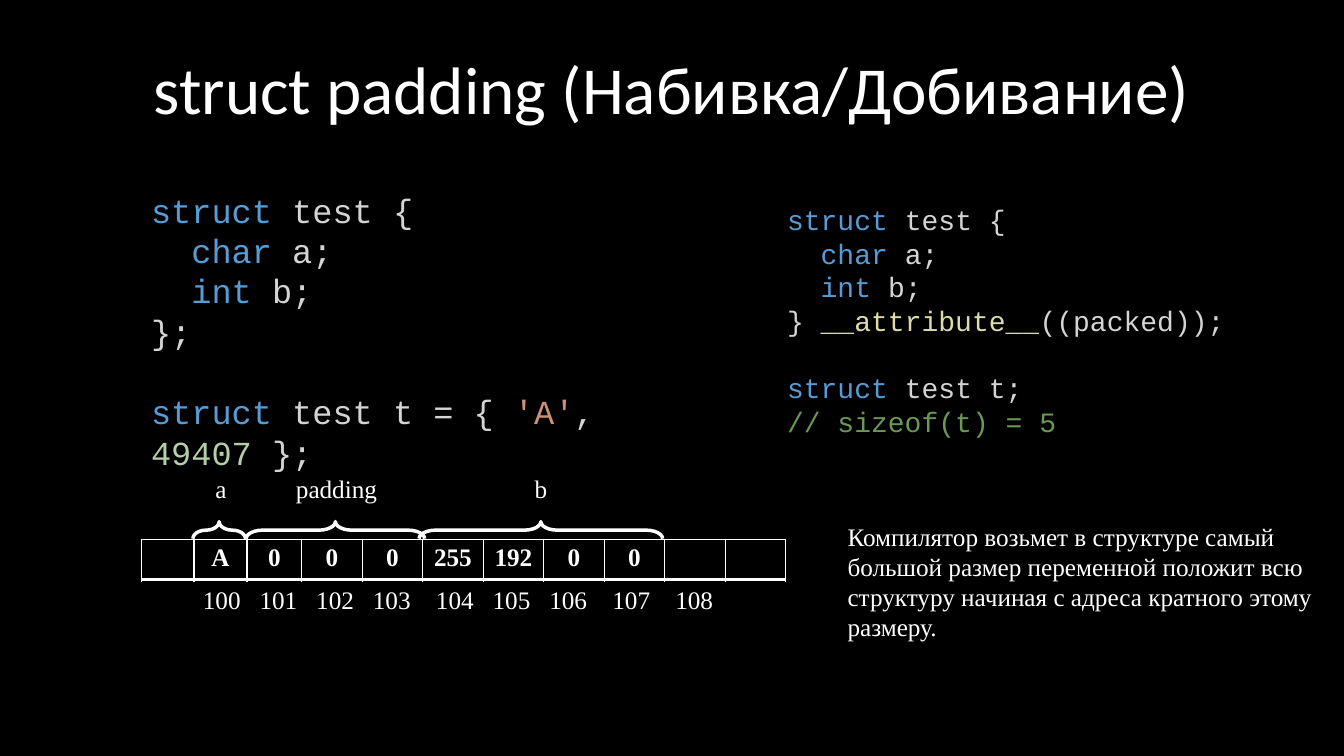
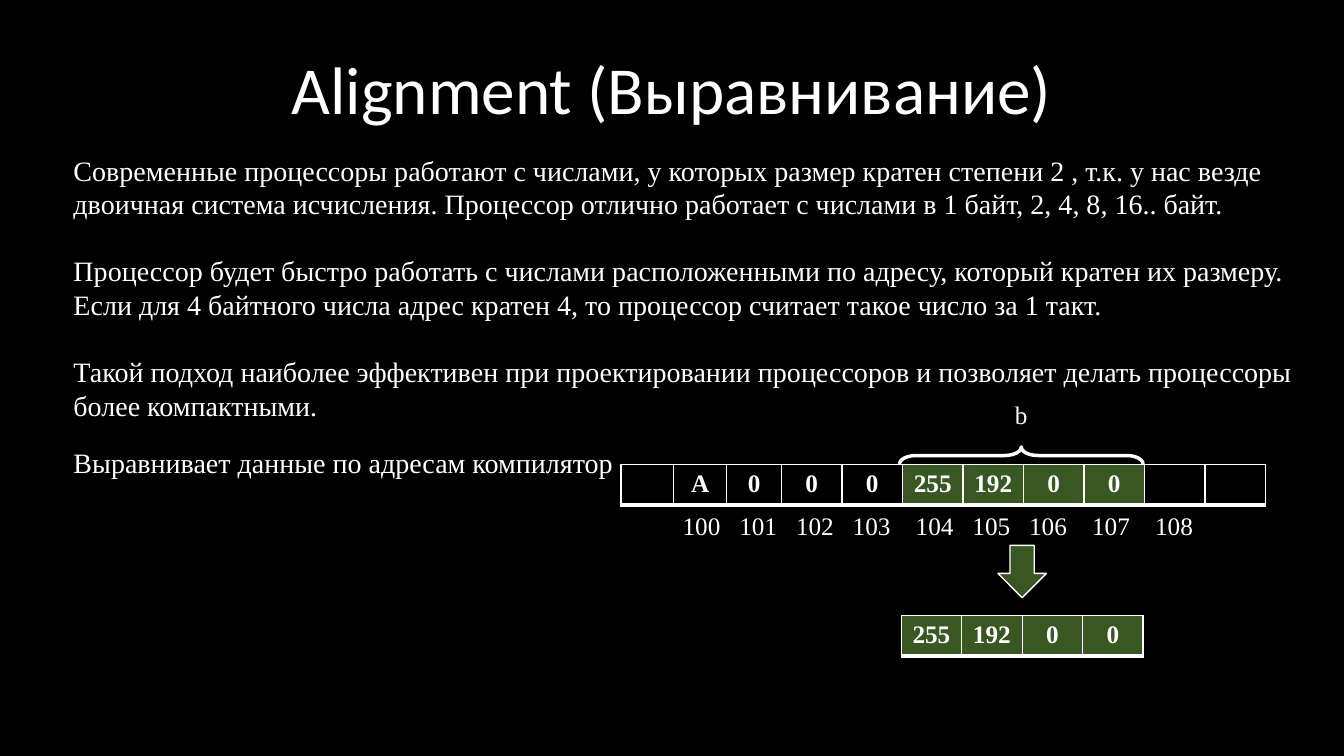
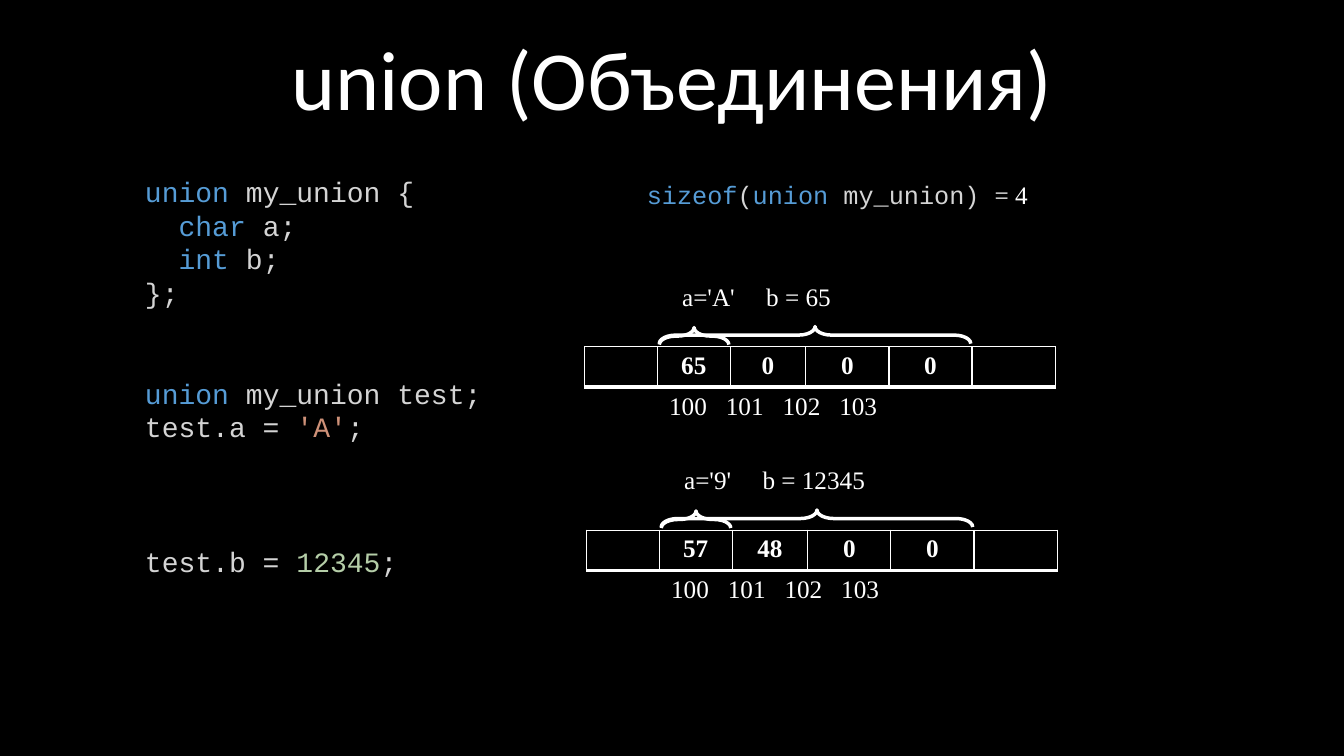
from dataclasses import dataclass
from typing import NamedTuple

import pptx
import pptx.dml.color
import pptx.enum.shapes
import pptx.enum.text
import pptx.oxml
import pptx.oxml.ns
import pptx.presentation
import pptx.slide
import pptx.util
from lxml import etree

Pt = pptx.util.Pt
RGBColor = pptx.dml.color.RGBColor
Align = pptx.enum.text.PP_ALIGN
Anchor = pptx.enum.text.MSO_ANCHOR
Preset = pptx.enum.shapes.MSO_SHAPE
qn = pptx.oxml.ns.qn

BLACK = RGBColor(0x00, 0x00, 0x00)
WHITE = RGBColor(0xFF, 0xFF, 0xFF)
GREEN = RGBColor(0x38, 0x57, 0x23)
CODE_TEXT = RGBColor(0xD4, 0xD4, 0xD4)
KEYWORD = RGBColor(0x56, 0x9C, 0xD6)
LITERAL = RGBColor(0xCE, 0x91, 0x78)
NUMBER = RGBColor(0xB5, 0xCE, 0xA8)
FUNCTION = RGBColor(0xDC, 0xDC, 0xAA)
COMMENT = RGBColor(0x6A, 0x99, 0x55)

TITLE_FONT = "Calibri"
CODE_FONT = "Courier New"
TEXT_FONT = "Times New Roman"

TOKEN_COLOURS = {
    "struct": KEYWORD,
    "union": KEYWORD,
    "char": KEYWORD,
    "int": KEYWORD,
    "sizeof": KEYWORD,
    "'A'": LITERAL,
    "49407": NUMBER,
    "12345": NUMBER,
    "__attribute__": FUNCTION,
    "// sizeof(t) = 5": COMMENT,
    "= 4": WHITE,
}
TOKEN_FONTS = {"= 4": TEXT_FONT}

LINE_FACTOR = 1.2
ROW_HEIGHT = 28
BRACE_HEIGHT = 12.2
LABEL_HEIGHT = 28.8
WIDE_STEP = 45
NARROW_STEP = 40.5

STRUCT_COLUMNS = (37.8, 37.8, 39.2) + (43.2,) * 8
STRUCT_CELLS = ("", "A", "0", "0", "0", "255", "192", "0", "0", "", "")
STRUCT_STEPS = (
    NARROW_STEP, NARROW_STEP, NARROW_STEP, WIDE_STEP,
    NARROW_STEP, NARROW_STEP, WIDE_STEP, WIDE_STEP,
)
UNION_COLUMNS = (52, 52, 54) + (59.4,) * 3
UNION_STEPS = (NARROW_STEP,) * 3


class Box(NamedTuple):
    left: float
    top: float
    width: float
    height: float

    def lengths(self) -> list[pptx.util.Length]:
        return [Pt(value) for value in self]


class Brace(NamedTuple):
    """Brace above a memory row, measured from the row's top left corner."""
    offset: float
    width: float
    rise: float = 12.6


class Caption(NamedTuple):
    """Field names above a memory row, one tab stop for each further name."""
    names: tuple[str, ...]
    offset: float
    width: float
    tabs: tuple[float, ...] = ()


@dataclass(frozen=True)
class MemoryRow:
    left: float
    top: float
    columns: tuple[float, ...]
    cells: tuple[str, ...]
    address_steps: tuple[float, ...] = ()
    address_offset: float = 37
    address_drop: float = 28.8
    braces: tuple[Brace, ...] = ()
    caption: Caption | None = None
    marked: range = range(0)


def add_text(
    page: pptx.slide.Slide,
    box: Box,
    lines: list[str],
    *,
    size: float = 18,
    font: str = TEXT_FONT,
    colour: RGBColor = WHITE,
    align: Align = Align.LEFT,
    anchor: Anchor = Anchor.TOP,
    line_spacing: float | None = None,
    tabs: tuple[float, ...] = (),
) -> None:
    """Write lines; bars set off coloured tokens, an empty line widens the gap."""
    frame = page.shapes.add_textbox(*box.lengths()).text_frame
    frame.word_wrap = True
    frame.vertical_anchor = anchor
    para = frame.paragraphs[0]
    gap = 0
    for index, line in enumerate(lines):
        if not line:
            gap += 1
            continue
        if index:
            para = frame.add_paragraph()
        if tabs:
            add_tabs(para, tabs)
        para.alignment = align
        para.line_spacing = line_spacing
        if gap:
            para.space_before = Pt(gap * size * LINE_FACTOR)
            gap = 0
        for piece in filter(None, line.split("|")):
            span = para.add_run()
            span.text = piece
            span.font.size = Pt(size)
            span.font.name = TOKEN_FONTS.get(piece, font)
            span.font.color.rgb = TOKEN_COLOURS.get(piece, colour)


def add_tabs(para, tabs: tuple[float, ...]) -> None:
    tab_list = etree.SubElement(para._p.get_or_add_pPr(), qn("a:tabLst"))
    for position in tabs:
        etree.SubElement(
            tab_list, qn("a:tab"), pos=str(int(Pt(position))), algn="l"
        )


def add_code(
    page: pptx.slide.Slide, box: Box, lines: list[str], size: float
) -> None:
    add_text(page, box, lines, size=size, font=CODE_FONT, colour=CODE_TEXT)


def add_page(
    deck: pptx.presentation.Presentation, title: str, size: float = 48
) -> pptx.slide.Slide:
    page = deck.slides.add_slide(deck.slide_layouts[6])
    add_text(
        page, Box(89.3, 23, 781.2, 72.7), [title], size=size, font=TITLE_FONT,
        align=Align.CENTER, anchor=Anchor.BOTTOM, line_spacing=0.9,
    )
    return page


def add_borders(cell) -> None:
    properties = cell._tc.get_or_add_tcPr()
    for side, weight in (("lnL", 1), ("lnR", 1), ("lnT", 1), ("lnB", 3)):
        border = etree.SubElement(
            properties, qn(f"a:{side}"), w=str(int(Pt(weight)))
        )
        fill = etree.SubElement(border, qn("a:solidFill"))
        etree.SubElement(fill, qn("a:srgbClr"), val=str(WHITE))


def add_cells(page: pptx.slide.Slide, row: MemoryRow) -> None:
    box = Box(row.left, row.top, sum(row.columns), ROW_HEIGHT)
    table = page.shapes.add_table(
        1, len(row.columns), *box.lengths()
    ).table
    table.first_row = False
    table.horz_banding = False
    for index, (width, value) in enumerate(zip(row.columns, row.cells)):
        table.columns[index].width = Pt(width)
        cell = table.cell(0, index)
        add_borders(cell)
        cell.fill.solid()
        cell.fill.fore_color.rgb = GREEN if index in row.marked else BLACK
        para = cell.text_frame.paragraphs[0]
        para.alignment = Align.CENTER
        if value:
            span = para.add_run()
            span.text = value
            span.font.size = Pt(18)
            span.font.name = TEXT_FONT
            span.font.bold = True
            span.font.color.rgb = WHITE


def add_brace(page: pptx.slide.Slide, row: MemoryRow, brace: Brace) -> None:
    """Turn a left brace by 90 degrees about its centre so it points up."""
    middle = row.left + brace.offset + brace.width / 2
    centre = row.top - brace.rise + BRACE_HEIGHT / 2
    box = Box(
        middle - BRACE_HEIGHT / 2, centre - brace.width / 2,
        BRACE_HEIGHT, brace.width,
    )
    shape = page.shapes.add_shape(Preset.LEFT_BRACE, *box.lengths())
    shape.rotation = 90
    shape.adjustments[0] = 0.97
    shape.adjustments[1] = 0.5
    shape.shadow.inherit = False
    shape.fill.background()
    shape.line.color.rgb = WHITE
    shape.line.width = Pt(2.5)


def add_memory(page: pptx.slide.Slide, row: MemoryRow) -> None:
    """Draw the cells with their braces, field names and addresses."""
    add_cells(page, row)
    for brace in row.braces:
        add_brace(page, row, brace)
    if row.caption:
        caption = row.caption
        box = Box(
            row.left + caption.offset, row.top - 50.5,
            caption.width, LABEL_HEIGHT,
        )
        add_text(page, box, ["\t".join(caption.names)], tabs=caption.tabs)
    if row.address_steps:
        stops = tuple(
            sum(row.address_steps[:count + 1])
            for count in range(len(row.address_steps))
        )
        addresses = [str(100 + index) for index in range(len(stops) + 1)]
        box = Box(
            row.left + row.address_offset, row.top + row.address_drop,
            stops[-1] + 60, LABEL_HEIGHT,
        )
        add_text(page, box, ["\t".join(addresses)], tabs=stops)


def add_padding_page(deck: pptx.presentation.Presentation) -> None:
    page = add_page(deck, "struct padding (Набивка/Добивание)")
    add_memory(page, MemoryRow(
        100.8, 385.2, STRUCT_COLUMNS, STRUCT_CELLS, STRUCT_STEPS,
        braces=(Brace(37, 37.5), Brace(75, 127.5), Brace(198.5, 174)),
        caption=Caption(("a", "padding", "b"), 46, 255.6, (57.5, 228)),
    ))
    struct_body = ["|struct| test {", "  |char| a;", "  |int| b;"]
    add_code(page, Box(100.8, 131.8, 442.8, 181.4), [
        *struct_body,
        "};",
        "",
        "|struct| test t = { |'A'|, |49407| };",
    ], 24)
    add_code(page, Box(555.1, 141.1, 326.9, 177.1), [
        *struct_body,
        "} |__attribute__|((packed));",
        "",
        "|struct| test t;",
        "|// sizeof(t) = 5|",
    ], 20)
    add_text(page, Box(598.3, 368.6, 347, 94.3), [
        "Компилятор возьмет в структуре самый большой размер переменной "
        "положит всю структуру начиная с адреса кратного этому размеру.",
    ])


def add_alignment_page(deck: pptx.presentation.Presentation) -> None:
    page = add_page(deck, "Alignment (Выравнивание)")
    marked = range(5, 9)
    add_memory(page, MemoryRow(
        443.5, 331.9, STRUCT_COLUMNS, STRUCT_CELLS, STRUCT_STEPS,
        braces=(Brace(199, 174),),
        caption=Caption(("b",), 274.3, 23),
        marked=marked,
    ))
    add_memory(page, MemoryRow(
        643.7, 439.9,
        STRUCT_COLUMNS[marked.start:marked.stop],
        STRUCT_CELLS[marked.start:marked.stop],
        marked=range(len(marked)),
    ))
    arrow = page.shapes.add_shape(
        Preset.DOWN_ARROW, *Box(712.8, 389.5, 34.6, 37.4).lengths()
    )
    arrow.shadow.inherit = False
    arrow.fill.solid()
    arrow.fill.fore_color.rgb = GREEN
    arrow.line.color.rgb = WHITE
    arrow.line.width = Pt(1)
    add_text(page, Box(45.4, 105.8, 886.3, 200.9), [
        "Современные процессоры работают с числами, у которых размер кратен "
        "степени 2 , т.к. у нас везде двоичная система исчисления. Процессор "
        "отлично работает с числами в 1 байт, 2, 4, 8, 16.. байт.",
        "",
        "Процессор будет быстро работать с числами расположенными по адресу, "
        "который кратен их размеру. Если для 4 байтного числа адрес кратен 4, "
        "то процессор считает такое число за 1 такт.",
        "",
        "Такой подход наиболее эффективен при проектировании процессоров и "
        "позволяет делать процессоры более компактными.",
    ], size=20)
    add_text(
        page, Box(45.4, 314.6, 419, 31.7),
        ["Выравнивает данные по адресам компилятор"], size=20,
    )


def add_union_page(deck: pptx.presentation.Presentation) -> None:
    page = add_page(deck, "union (Объединения)", size=60)
    add_code(page, Box(96.5, 121, 383.8, 298), [
        "|union| my_union {",
        "  |char| a;",
        "  |int| b;",
        "};",
        "",
        "",
        "|union| my_union test;",
        "test.a = |'A'|;",
        "",
        "",
        "",
        "test.b = |12345|;",
    ], 20)
    add_code(
        page, Box(455, 124.6, 345.6, LABEL_HEIGHT),
        ["|sizeof|(|union| my_union) |= 4|"], 18,
    )
    states = (
        (417.6, 247.7, ("65", "0"), ("a='A'", "b = 65"), 60),
        (419, 378.7, ("57", "48"), ("a='9'", "b = 12345"), 56),
    )
    for left, top, low_bytes, names, tab in states:
        add_memory(page, MemoryRow(
            left, top, UNION_COLUMNS, ("", *low_bytes, "0", "0", ""),
            UNION_STEPS,
            address_offset=53.3,
            address_drop=27.4,
            braces=(Brace(53.3, 49.7, 13.7), Brace(53.3, 222.5, 14.4)),
            caption=Caption(names, 62.6, 213.8, (tab,)),
        ))


def main() -> None:
    deck = pptx.Presentation()
    deck.slide_width = Pt(960)
    deck.slide_height = Pt(540)
    backdrop = deck.slide_master.background.fill
    backdrop.solid()
    backdrop.fore_color.rgb = BLACK
    add_padding_page(deck)
    add_alignment_page(deck)
    add_union_page(deck)
    deck.save("out.pptx")


if __name__ == "__main__":
    main()
